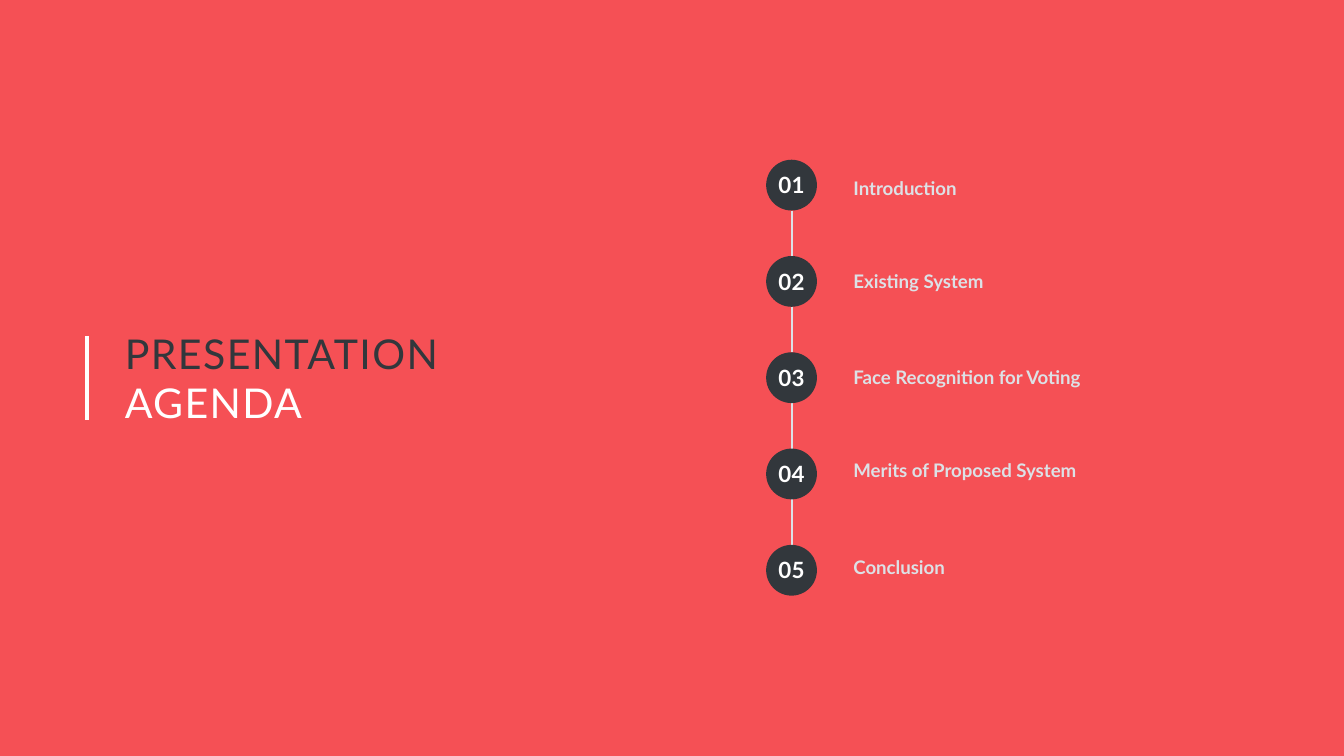
from pptx import Presentation
from pptx.dml.color import RGBColor
from pptx.enum.shapes import MSO_CONNECTOR, MSO_SHAPE
from pptx.enum.text import MSO_AUTO_SIZE, PP_ALIGN
from pptx.oxml.ns import qn
from pptx.util import Cm, Pt
from lxml import etree

RECT, OVAL = MSO_SHAPE.RECTANGLE, MSO_SHAPE.OVAL
LINE = MSO_CONNECTOR.STRAIGHT
GROW = MSO_AUTO_SIZE.SHAPE_TO_FIT_TEXT
LEFT, CENTER = PP_ALIGN.LEFT, PP_ALIGN.CENTER

RED = RGBColor(0xF5, 0x50, 0x55)
DARK = RGBColor(0x32, 0x37, 0x3C)
PALE = RGBColor(0xDC, 0xE1, 0xE6)
WHITE = RGBColor(0xFF, 0xFF, 0xFF)

deck = Presentation()
deck.slide_width, deck.slide_height = Cm(25.4), Cm(14.29)
slide = deck.slides.add_slide(deck.slide_layouts[6])
slide.background.fill.solid()
slide.background.fill.fore_color.rgb = DARK


def add_text(text, box, size, colors, bold=False, align=LEFT, track=0, lead=None):
    """Write one paragraph per line, each in its own colour; box is in cm."""
    frame = slide.shapes.add_textbox(*map(Cm, box)).text_frame
    frame.word_wrap = True
    frame.auto_size = GROW
    frame.margin_left = frame.margin_right = 0
    frame.margin_top = frame.margin_bottom = 0
    frame.text = text
    for para, color in zip(frame.paragraphs, colors):
        para.alignment = align
        para.line_spacing = lead
        run = para.runs[0]
        run.font.name = "Lato"
        run.font.size = Pt(size)
        run.font.bold = bold
        run.font.color.rgb = color
        if track:
            run.font._element.set("spc", str(track))


def add_line(x, top, end, color, width):
    line = slide.shapes.add_connector(LINE, Cm(x), Cm(top), Cm(x), Cm(end))
    line.line.color.rgb = color
    line.line.width = Pt(width)
    etree.SubElement(line._element.spPr, qn("a:effectLst"))


# Backdrop and title
panel = slide.shapes.add_shape(RECT, 0, 0, deck.slide_width, deck.slide_height)
panel.shadow.inherit = False
panel.fill.solid()
panel.fill.fore_color.rgb = RED
panel.line.fill.background()

add_line(1.65, 6.35, 7.94, WHITE, 2.25)
add_text("PRESENTATION\nAGENDA", (2.36, 6.2, 10.06, 1.88), 22, (DARK, WHITE), track=80)

# Numbered agenda
items = [
    ("Introduction", 3.3),
    ("Existing System", 5.05),
    ("Face Recognition for Voting", 6.88),
    ("Merits of Proposed System", 8.64),
    ("Conclusion", 10.46),
]
SIZE, STEP = 0.96, 1.82
EDGE, START = 14.48, 3.02

for i, (label, row) in enumerate(items):
    top = START + i * STEP
    if i < len(items) - 1:
        add_line(EDGE + SIZE / 2, top + SIZE, top + STEP, PALE, 1)
    dot = slide.shapes.add_shape(OVAL, Cm(EDGE), Cm(top), Cm(SIZE), Cm(SIZE))
    dot.shadow.inherit = False
    dot.fill.solid()
    dot.fill.fore_color.rgb = DARK
    dot.line.fill.background()
    add_text(f"{i + 1:02}", (14.51, top + 0.22, 0.9, 0.51), 12, [WHITE],
             bold=True, align=CENTER, track=20)
    add_text(label, (16.13, row, 4.57, 0.46), 10, [PALE], bold=True, lead=1.1)

deck.save("out.pptx")
